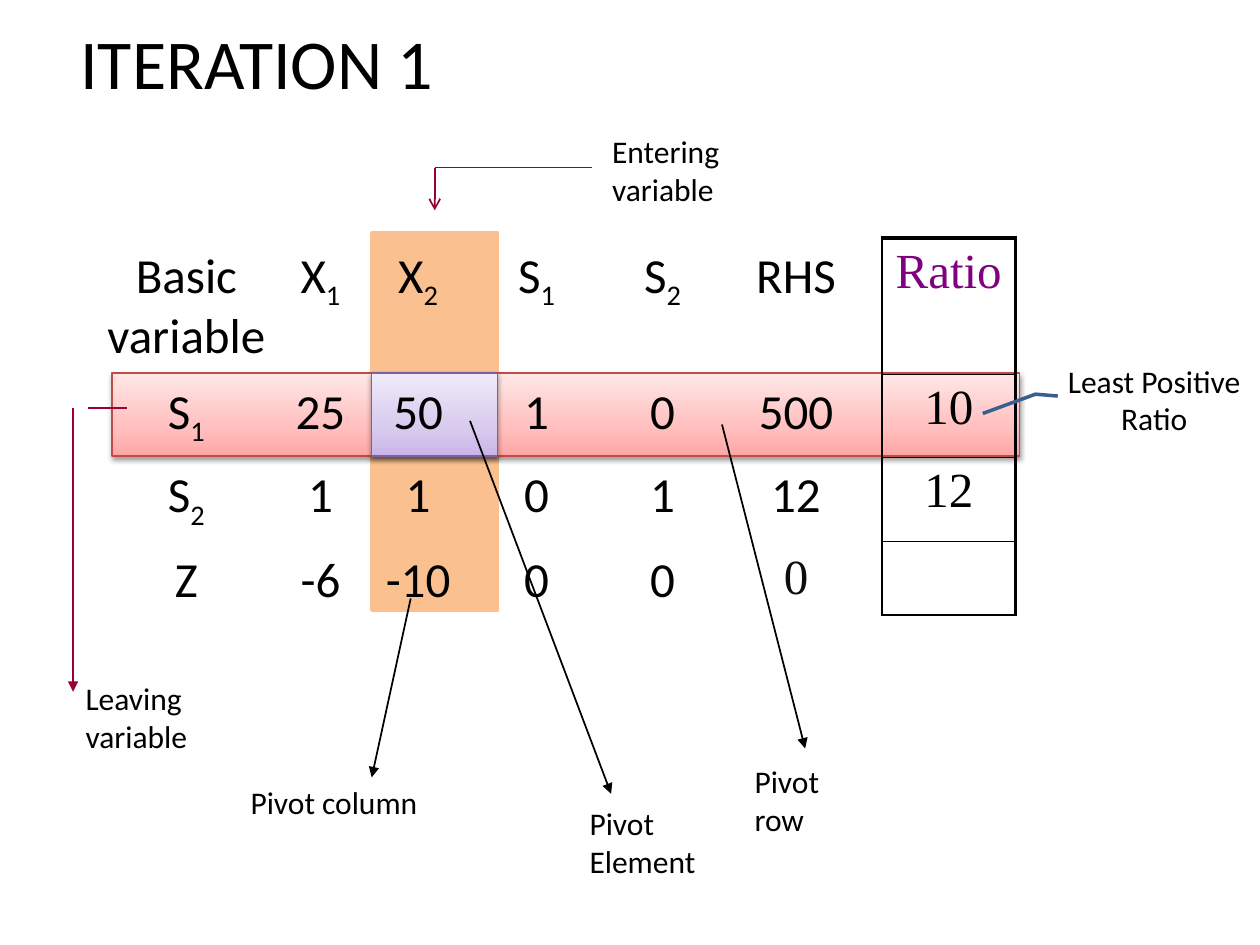
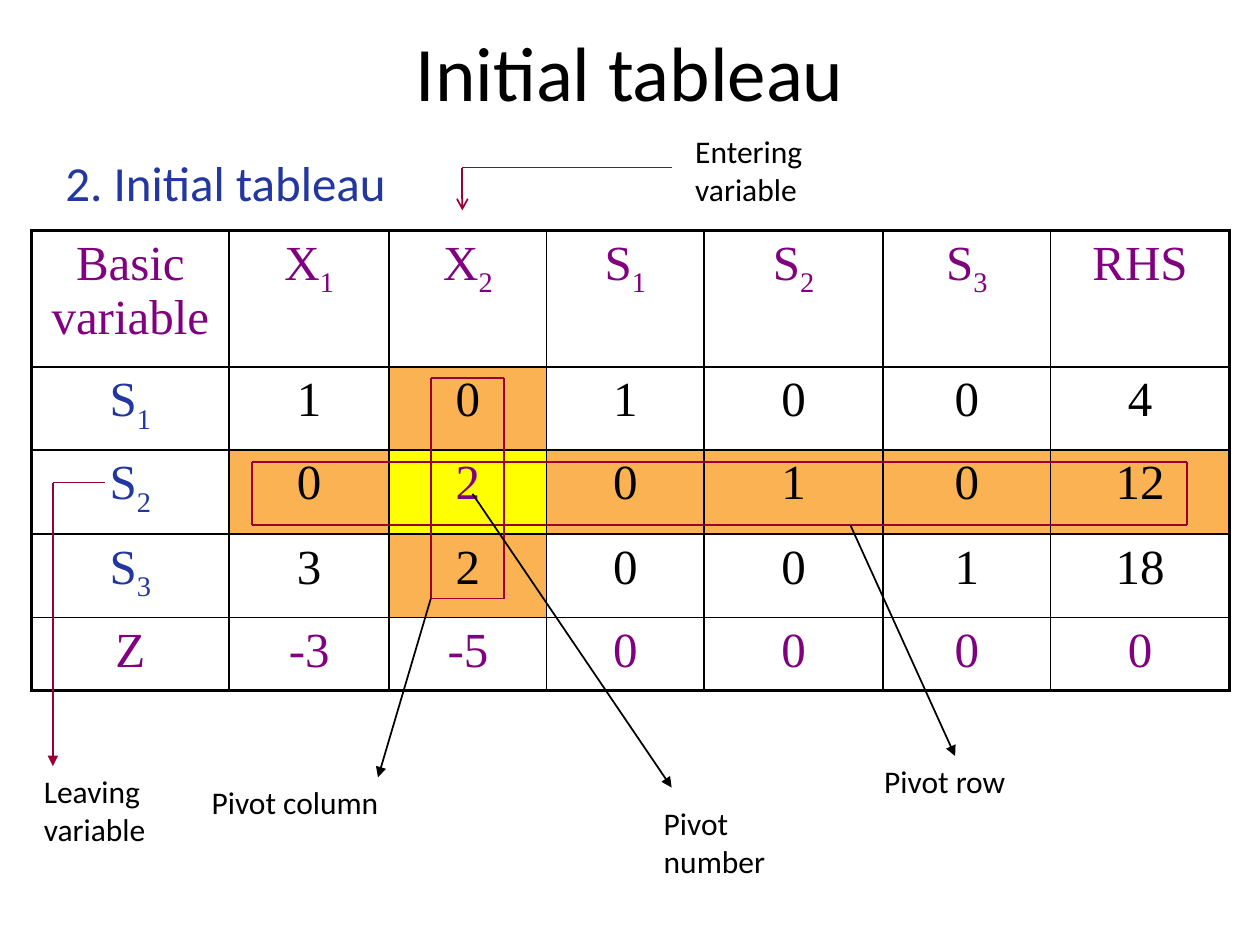
"""Build two simplex-method slides: the first iteration and the initial tableau."""
from copy import deepcopy
from itertools import pairwise

from lxml import etree
from pptx import Presentation
from pptx import util as u
from pptx.dml.color import RGBColor
from pptx.enum import shapes, text
from pptx.oxml import ns, parse_xml


class Theme:
    sans, serif = "Calibri", "Times New Roman"
    title, heading, cell, label = 44, 40, 28, 18
    black, dark, white = "000000", "0D0D0D", "FFFFFF"
    purple, blue, crimson, steel = "800080", "2237A0", "990033", "3A5F8C"
    band, pivot_fill, pivot_cell = "FAC090", "FAB252", "FFFF00"
    reds, red_edge = ("FFA6A5", "FFC0BF", "FFE7E7"), "BF4C48"
    violets, violet_edge = ("C9B5E8", "D8CBEE", "F0EAF9"), "7D60A0"
    thin, thick = 1, 2.25


C, L = text.PP_ALIGN.CENTER, text.PP_ALIGN.LEFT
rgb = RGBColor.from_string


def style(p, size, color, font=Theme.sans, align=C):
    p.alignment = align
    for f in (p.font, *(r.font for r in p.runs)):
        f.size, f.name = u.Pt(size), font
        f.color.rgb = rgb(color)


def add_grid(s, left, top, widths, heights, rows, font, edges=None, inset=7.2):
    """Add a table; edges gives the outer left, right, top and bottom line widths."""
    tbl = s.shapes.add_table(len(heights), len(widths), u.Pt(left), u.Pt(top),
                             u.Pt(sum(widths)), u.Pt(sum(heights))).table
    tbl.first_row = tbl.horz_banding = False
    tbl._tbl.tblPr.find(ns.qn("a:tableStyleId")).text = "{2D5ABB26-0587-4C30-8999-92F81FD0307C}"
    for col, w in zip(tbl.columns, widths):
        col.width = u.Pt(w)
    for i, h in enumerate(heights):
        tbl.rows[i].height = u.Pt(h)
        for j, value in enumerate(rows[i]):
            cell = tbl.cell(i, j)
            cell.margin_left = cell.margin_right = u.Pt(inset)
            cell.fill.background()
            p = cell.text_frame.paragraphs[0]
            base, _, sub = value.partition("_")
            if base:
                p.add_run().text = base
            if sub:
                r = p.add_run()
                r.text = sub
                r._r.get_or_add_rPr().set("baseline", "-25000")
            style(p, Theme.cell, Theme.black, font)
            if edges:
                outer = (j == 0, j == len(widths) - 1, i == 0, i == len(heights) - 1)
                for k, tag in enumerate(("lnL", "lnR", "lnT", "lnB")):
                    w = u.Pt(edges[k] if outer[k] else Theme.thin)
                    cell._tc.get_or_add_tcPr().insert(k, parse_xml(
                        f'<a:{tag} {ns.nsdecls("a")} w="{w}"><a:solidFill>'
                        f'<a:srgbClr val="{Theme.black}"/></a:solidFill></a:{tag}>'))
    return tbl


prs = Presentation()
prs.slide_width, prs.slide_height = u.Pt(720), u.Pt(540)
iteration = prs.slides.add_slide(prs.slide_layouts[5])
initial = prs.slides.add_slide(prs.slide_layouts[1])

for s, words, size, box in (
    (iteration, "ITERATION 1", Theme.heading, (37.4, 7.2, 218.9, 55.4)),
    (initial, "Initial tableau", Theme.title, (0, 4.3, 720, 72)),
):
    sp = s.shapes.title
    sp.left, sp.top, sp.width, sp.height = map(u.Pt, box)
    tf = sp.text_frame
    tf.text = words
    tf.word_wrap = s is initial
    tf.auto_size = text.MSO_AUTO_SIZE.NONE
    style(tf.paragraphs[0], size, Theme.black)

sp = iteration.shapes.add_shape(shapes.MSO_SHAPE.RECTANGLE, *map(u.Pt, (212.4, 133.2, 72, 215.3)))
sp.shadow.inherit = False
sp.fill.solid()
sp.fill.fore_color.rgb = sp.line.color.rgb = rgb(Theme.band)
sp.line.width = u.Pt(2)

for left, width, colors, edge in (
    (64.1, 518.4, Theme.reds, Theme.red_edge),
    (212.4, 72, Theme.violets, Theme.violet_edge),
):
    sp = iteration.shapes.add_shape(shapes.MSO_SHAPE.RECTANGLE, *map(u.Pt, (left, 213.1, width, 47.5)))
    sp.fill.gradient()
    sp.fill.gradient_angle = 90
    stops = sp._element.spPr.find(".//" + ns.qn("a:gsLst"))
    stops.insert(1, deepcopy(stops[0]))
    for stop, position, color in zip(sp.fill.gradient_stops, (0, 0.35, 1), colors):
        stop.position = position
        stop.color.rgb = rgb(color)
    sp.line.color.rgb = rgb(edge)
    sp.line.width = u.Pt(0.75)
    sp.shadow.inherit = False
    sp._element.spPr.find(ns.qn("a:effectLst")).append(parse_xml(
        f'<a:outerShdw {ns.nsdecls("a")} blurRad="{u.Pt(3.1)}" dist="{u.Pt(1.6)}" dir="5400000" '
        f'rotWithShape="0"><a:srgbClr val="{Theme.black}"><a:alpha val="38000"/></a:srgbClr></a:outerShdw>'))

heights = (77.8, 47.5, 48.2, 41.8)
tbl = add_grid(iteration, 51.8, 137.5, (109.4, 43.9, 67.7, 67.7, 76.3, 76.3), heights, (
    ("Basic variable", "X_1", "X_2", "S_1", "S_2", "RHS"),
    ("S_1", "25", "50", "1", "0", "500"),
    ("S_2", "1", "1", "0", "1", "12"),
    ("Z", "-6", "-10", "0", "0", "0"),
), Theme.sans, inset=5)
style(tbl.cell(3, 5).text_frame.paragraphs[0], Theme.cell, Theme.dark, Theme.serif)

tbl = add_grid(iteration, 504, 136.1, (76.3,), heights, (("Ratio",), ("10",), ("12",), ("",)),
               Theme.serif, (Theme.thin, Theme.thick, Theme.thick, Theme.thin), inset=5)
style(tbl.cell(0, 0).text_frame.paragraphs[0], Theme.cell, Theme.purple, Theme.serif)

sp = iteration.shapes.add_shape(shapes.MSO_SHAPE.LINE_CALLOUT_2_NO_BORDER,
                                *map(u.Pt, (599, 213.1, 121, 30.2)))
for i, value in enumerate((0.438, 0.045, 0.402, -0.06, 0.768, -0.309)):
    sp.adjustments[i] = value
sp.shadow.inherit = False
sp.fill.solid()
sp.fill.fore_color.rgb = rgb(Theme.white)
sp.line.color.rgb = rgb(Theme.steel)
sp.line.width = u.Pt(2)
tf = sp.text_frame
tf.text = "Least Positive Ratio"
tf.vertical_anchor = text.MSO_ANCHOR.MIDDLE
style(tf.paragraphs[0], Theme.label, Theme.black)

sp = initial.placeholders[1]
sp.left, sp.top, sp.width, sp.height = map(u.Pt, (30.2, 83.5, 666, 85))
tf = sp.text_frame
tf.text = "2. Initial tableau"
tf.auto_size = text.MSO_AUTO_SIZE.NONE
p = tf.paragraphs[0]
style(p, Theme.cell, Theme.blue, align=L)
pPr = p._p.get_or_add_pPr()
pPr.set("marL", str(u.Pt(27)))
pPr.set("indent", str(u.Pt(-27)))
pPr.insert(0, parse_xml(f'<a:buNone {ns.nsdecls("a")}/>'))

rows = (
    ("Basic variable", "X_1", "X_2", "S_1", "S_2", "S_3", "RHS"),
    ("S_1", "1", "0", "1", "0", "0", "4"),
    ("S_2", "0", "2", "0", "1", "0", "12"),
    ("S_3", "3", "2", "0", "0", "1", "18"),
    ("Z", "-3", "-5", "0", "0", "0", "0"),
)
tbl = add_grid(initial, 18, 131.8, (113, 91.4, 90, 90, 102.2, 95.8, 102.2),
               (77.8, 47.5, 48.2, 47.5, 41.8), rows, Theme.serif, (Theme.thick,) * 4)
pivot = (2, 2)
for i, row in enumerate(rows):
    for j in range(len(row)):
        cell = tbl.cell(i, j)
        p = cell.text_frame.paragraphs[0]
        inner = 0 < i < len(rows) - 1
        if not inner or (i, j) == pivot:
            style(p, Theme.cell, Theme.purple, Theme.serif)
        elif j == 0:
            style(p, Theme.cell, Theme.blue, Theme.serif)
        if inner and j > 0 and (i == pivot[0] or j == pivot[1]):
            cell.fill.solid()
            cell.fill.fore_color.rgb = rgb(Theme.pivot_cell if (i, j) == pivot else Theme.pivot_fill)

labels = (
    (iteration, "Pivot column", (136.1, 444.2, 112.3, 28.8)),
    (iteration, "Pivot row", (424.1, 432, 80.6, 51.1)),
    (iteration, "Pivot Element", (329.8, 455.8, 83.5, 51.1)),
    (iteration, "Entering variable", (342.7, 72, 76.3, 50.4)),
    (iteration, "Leaving variable", (41.8, 384.5, 74.2, 51.1)),
    (initial, "Pivot column", (113.8, 444.2, 149.8, 28.8)),
    (initial, "Pivot row", (498.2, 432, 108, 28.8)),
    (initial, "Pivot number", (372.2, 455.8, 77.8, 50.4)),
    (initial, "Entering variable", (390.2, 72, 102.2, 50.4)),
    (initial, "Leaving variable", (18, 437.8, 84.2, 50.4)),
)
for s, words, box in labels:
    tf = s.shapes.add_textbox(*map(u.Pt, box)).text_frame
    tf.word_wrap = True
    tf.auto_size = text.MSO_AUTO_SIZE.SHAPE_TO_FIT_TEXT
    tf.text = words
    style(tf.paragraphs[0], Theme.label, Theme.black, align=L)

traces = (
    (iteration, Theme.black, "triangle", ((234.7, 342), (212.4, 444.2))),
    (iteration, Theme.black, "triangle", ((412.6, 242.6), (460.1, 427.7))),
    (iteration, Theme.black, "triangle", ((268.6, 240.5), (349.2, 453.6))),
    (iteration, Theme.crimson, "arrow", ((338.4, 95.8), (248.4, 95.8), (248.4, 120.2))),
    (iteration, Theme.crimson, None, ((72.7, 233.3), (50.4, 233.3))),
    (iteration, Theme.crimson, "triangle", ((41.8, 233.3), (41.8, 395.3))),
    (initial, Theme.crimson, None,
     ((246.2, 216), (246.2, 342), (288, 342), (288, 216), (246.2, 216))),
    (initial, Theme.crimson, None,
     ((678.2, 264.2), (144, 264.2), (144, 300.2), (678.2, 300.2), (678.2, 264.2))),
    (initial, Theme.black, "triangle", ((246.2, 342), (216, 444.2))),
    (initial, Theme.black, "triangle", ((486, 300.2), (545.8, 432))),
    (initial, Theme.black, "triangle", ((270, 282.2), (383.8, 450))),
    (initial, Theme.crimson, "arrow", ((383.8, 95.8), (264.2, 95.8), (264.2, 120.2))),
    (initial, Theme.crimson, "triangle", ((59.8, 275.8), (30.2, 275.8), (30.2, 437.8))),
)
for s, color, head, points in traces:
    for start, end in pairwise(points):
        cn = s.shapes.add_connector(shapes.MSO_CONNECTOR.STRAIGHT, *map(u.Pt, start + end))
        cn.line.color.rgb = rgb(color)
        cn.line.width = u.Pt(Theme.thin)
        if head and end == points[-1]:
            ln = cn._element.spPr.find(ns.qn("a:ln"))
            etree.SubElement(ln, ns.qn("a:tailEnd")).set("type", head)
        etree.SubElement(cn._element.spPr, ns.qn("a:effectLst"))

prs.save("out.pptx")
